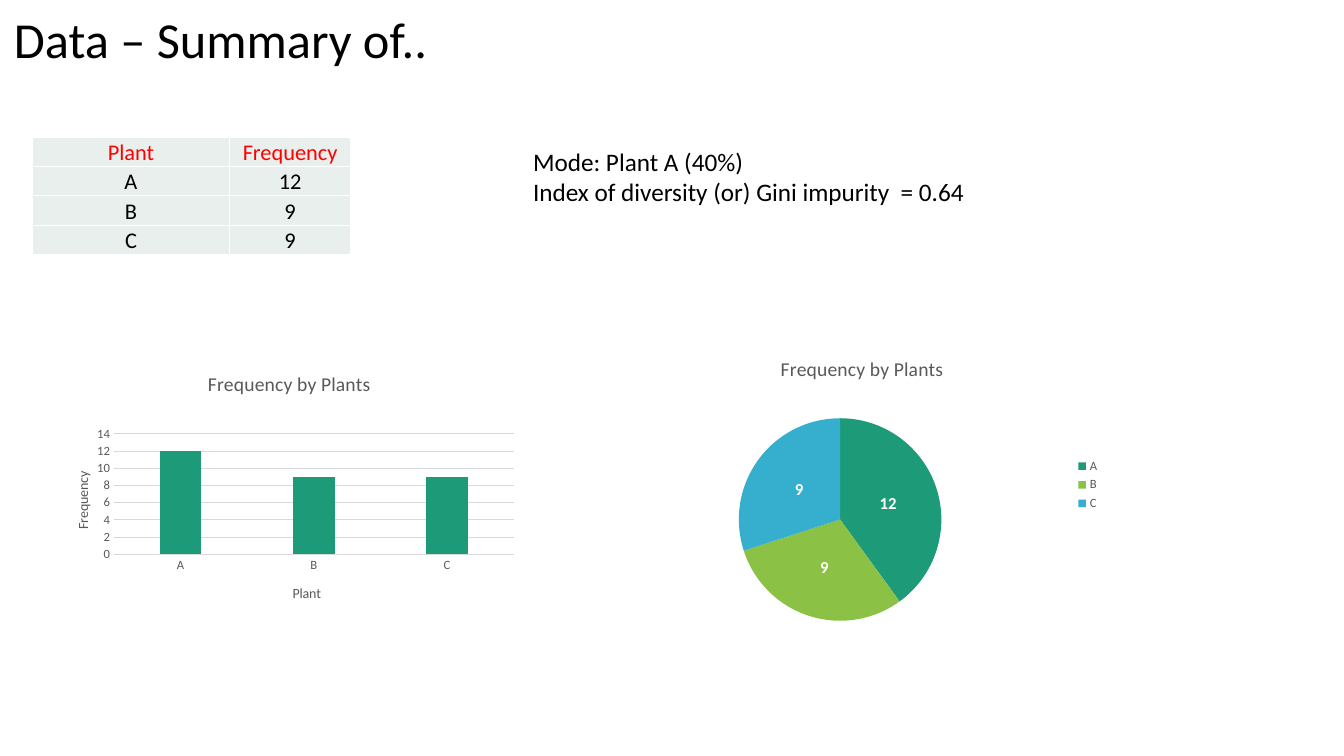
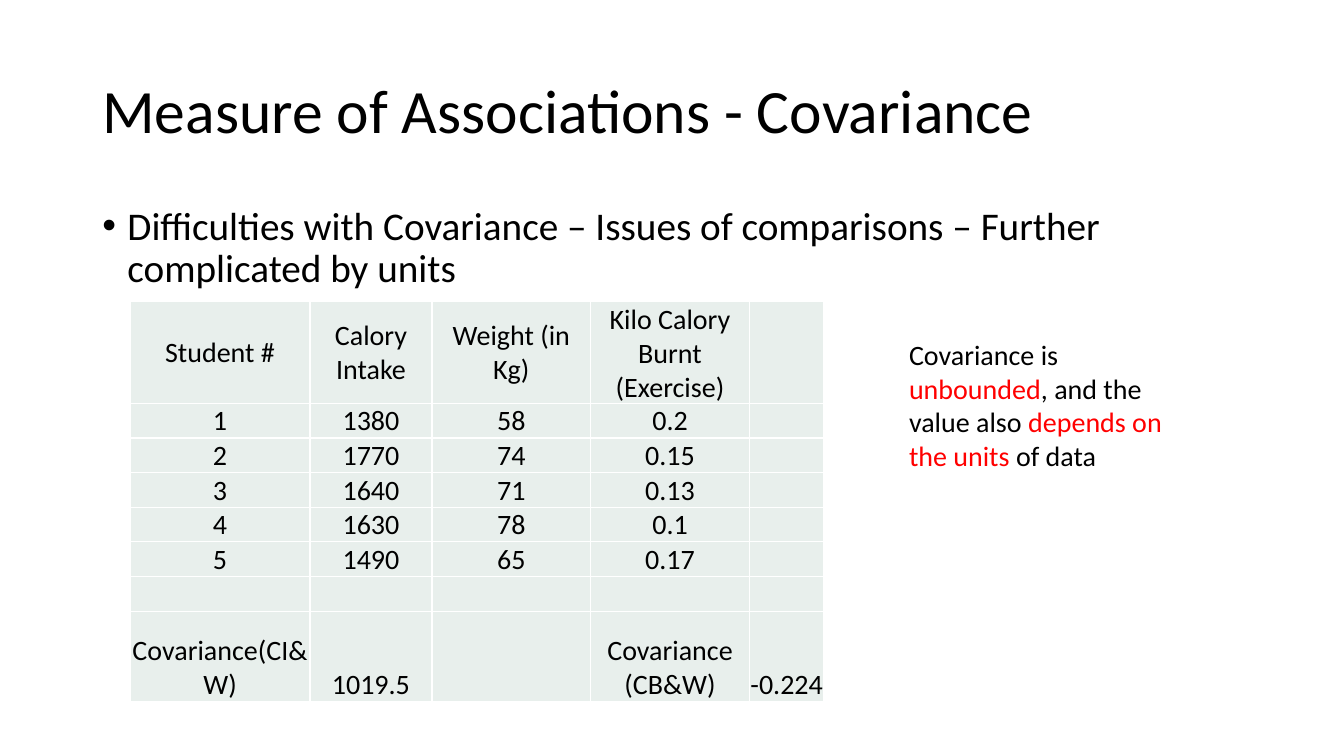
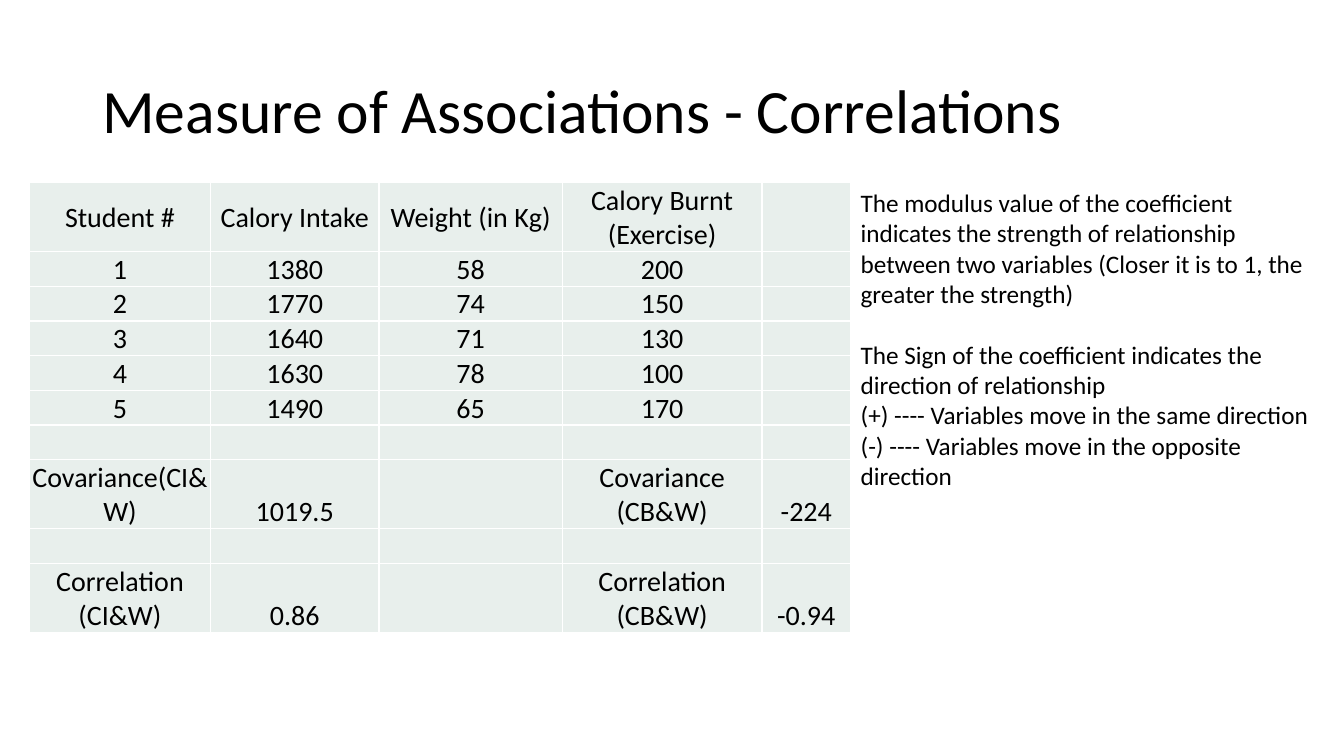
from dataclasses import dataclass
from lxml.etree import SubElement as sub
from pptx import Presentation
from pptx.chart.data import CategoryChartData as Data
from pptx.dml.color import RGBColor as RGB
from pptx.enum.chart import XL_CHART_TYPE as Kind
from pptx.enum.chart import XL_LABEL_POSITION as Spot
from pptx.enum.chart import XL_LEGEND_POSITION as Side
from pptx.enum.chart import XL_TICK_MARK as Tick
from pptx.enum.text import MSO_ANCHOR as Anchor
from pptx.enum.text import PP_ALIGN as Align
from pptx.oxml import parse_xml
from pptx.oxml.ns import nsdecls, qn
from pptx.util import Pt


@dataclass(frozen=True)
class Theme:
    """Colours and type sizes of the deck."""
    face: str = "Calibri"
    ink: str = "000000"
    red: str = "FF0000"
    gray: str = "595959"
    rule: str = "D9D9D9"
    white: str = "FFFFFF"
    cell: str = "E8EFEC"
    hues: tuple = ("1D9A78", "8BC145", "36AFCE")
    head: int = 44
    top: int = 36
    body: int = 28
    grid: int = 20
    note: int = 18
    small: int = 16
    chart: int = 14
    label: int = 12
    axis: int = 10
    tick: int = 9


T = Theme()
HEAD = (66, 28.8, 828, 104.4)
PLANTS = ("A", "B", "C")
COUNTS = (12, 9, 9)
STUDENTS = (("1", "1380", "58"), ("2", "1770", "74"), ("3", "1640", "71"),
            ("4", "1630", "78"), ("5", "1490", "65"))


def style(font, size, color=T.ink, bold=False):
    """Set face, size, colour and weight of a font."""
    font.name, font.size, font.bold = T.face, Pt(size), bold
    font.color.rgb = RGB.from_string(color)


def paint(part, color):
    """Give a part a solid fill."""
    part.fill.solid()
    part.fill.fore_color.rgb = RGB.from_string(color)


def text(slide, box, paras, size, mid=False, lead=None, gaps=(), dot=False):
    """Add a text box; a paragraph is a list of (words, colour) runs."""
    frame = slide.shapes.add_textbox(*map(Pt, box)).text_frame
    frame.word_wrap = True
    frame.vertical_anchor = Anchor.MIDDLE if mid else Anchor.TOP
    for i, runs in enumerate(paras):
        para = frame.add_paragraph() if i else frame.paragraphs[0]
        if dot:
            props = para._p.get_or_add_pPr()
            props.set("marL", str(Pt(18)))
            props.set("indent", str(Pt(-18)))
            sub(props, qn("a:buFont"), typeface="Arial")
            sub(props, qn("a:buChar"), char="•")
        if lead:
            para.line_spacing = lead
        if i < len(gaps):
            para.space_before = Pt(gaps[i])
        style(para.font, size)
        for words, color in runs:
            run = para.add_run()
            run.text = words
            if color != T.ink:
                run.font.color.rgb = RGB.from_string(color)


def plain(*lines):
    """Make one ink-coloured paragraph from each line."""
    return [[(line, T.ink)] for line in lines]


def title(slide, words, box=HEAD, size=T.head):
    """Add a slide title."""
    text(slide, box, plain(words), size, mid=True, lead=0.9)


def edge(cell):
    """Draw thin white borders round a cell."""
    props = cell._tc.get_or_add_tcPr()
    for side in ("lnL", "lnR", "lnT", "lnB"):
        line = sub(props, qn("a:" + side), w=str(Pt(1)))
        fill = sub(line, qn("a:solidFill"))
        sub(fill, qn("a:srgbClr"), val=T.white)


def table(slide, at, cols, highs, rows, size, low, top=T.ink):
    """Add a table whose rows from index low on sit at the bottom."""
    shape = slide.shapes.add_table(len(rows), len(cols), Pt(at[0]), Pt(at[1]),
                                   Pt(sum(cols)), Pt(sum(highs)))
    grid = shape.table
    grid.first_row = grid.horz_banding = False
    for col, wide in zip(grid.columns, cols):
        col.width = Pt(wide)
    for i, (row, high, words) in enumerate(zip(grid.rows, highs, rows)):
        row.height = Pt(high)
        for j, cell in enumerate(row.cells):
            cell.margin_left = cell.margin_right = cell.margin_top = Pt(0.72)
            cell.margin_bottom = Pt(0)
            cell.vertical_anchor = Anchor.BOTTOM if i >= low else Anchor.MIDDLE
            cell.text = words[j] if j < len(words) else ""
            para = cell.text_frame.paragraphs[0]
            para.alignment = Align.CENTER
            style(para.font, size, top if i == 0 else T.ink)
            edge(cell)
            paint(cell, T.cell)


def place(node, index, spots, inner=False):
    """Fix the place of a chart part, as shares of the chart."""
    for old in node.findall(qn("c:layout")):
        node.remove(old)
    layout = parse_xml(f"<c:layout {nsdecls('c')}/>")
    manual = sub(layout, qn("c:manualLayout"))
    if inner:
        sub(manual, qn("c:layoutTarget"), val="inner")
    for key in ("xMode", "yMode"):
        sub(manual, qn("c:" + key), val="edge")
    for key, share in zip("xywh", spots):
        sub(manual, qn("c:" + key), val=str(share))
    node.insert(index, layout)


def name(part, words, size, spots, turn=0):
    """Write and place a chart or axis title."""
    frame = part.text_frame
    frame.text = words
    style(frame.paragraphs[0].font, size, T.gray)
    frame._txBody.bodyPr.set("rot", str(turn * 60000))
    frame._txBody.bodyPr.set("vert", "horz")
    place(part._element, 1, spots)


def graph(slide, kind, box, head, area):
    """Add a chart of the plant counts."""
    data = Data()
    data.categories = PLANTS
    data.add_series("Series 1", COUNTS)
    chart = slide.shapes.add_chart(kind, *map(Pt, box), data).chart
    style(chart.font, T.axis)
    chart.has_legend = False
    chart.has_title = True
    name(chart.chart_title, "Frequency by Plants", T.chart, head)
    place(chart._chartSpace.chart.plotArea, 0, area, inner=True)
    return chart


def rule(line):
    """Make a chart line thin and light."""
    line.color.rgb = RGB.from_string(T.rule)
    line.width = Pt(0.75)


def bars(slide):
    """Add the column chart."""
    chart = graph(slide, Kind.COLUMN_CLUSTERED, (33.84, 250.56, 339.84, 191.52),
                  (0.33, 0.06), (0.14, 0.31, 0.84, 0.45))
    plot = chart.plots[0]
    plot.gap_width, plot.overlap, plot.vary_by_categories = 219, -27, False
    paint(plot.series[0].format, T.hues[0])
    cat, val = chart.category_axis, chart.value_axis
    for axis in (cat, val):
        axis.major_tick_mark = axis.minor_tick_mark = Tick.NONE
        style(axis.tick_labels.font, T.tick, T.gray)
    name(cat.axis_title, "Plant", T.axis, (0.51, 0.86))
    name(val.axis_title, "Frequency", T.axis, (0.05, 0.44), -90)
    rule(cat.format.line)
    val.format.line.fill.background()
    rule(val.major_gridlines.format.line)
    val.minimum_scale, val.maximum_scale, val.major_unit = 0, 14, 2


def pie(slide):
    """Add the pie chart."""
    chart = graph(slide, Kind.PIE, (432.72, 238.32, 360, 216),
                  (0.34, 0.06), (0.26, 0.28, 0.41, 0.67))
    chart.has_legend = True
    chart.legend.position = Side.RIGHT
    chart.legend.include_in_layout = False
    style(chart.legend.font, T.tick, T.gray)
    plot = chart.plots[0]
    plot.vary_by_categories = True
    for i, hue in enumerate(T.hues):
        paint(plot.series[0].points[i].format, hue)
    labels = plot.series[0].data_labels
    labels.show_value = True
    labels.position = Spot.CENTER
    style(labels.font, T.label, T.white, True)


def plants(slide):
    """Build the summary slide."""
    title(slide, "Data – Summary of..", (2.88, 0, 828, 60.48), T.top)
    rows = [("Plant", "Frequency")]
    rows += [(plant, str(count)) for plant, count in zip(PLANTS, COUNTS)]
    table(slide, (23.04, 97.92), (141, 86.4), [21] * 4, rows, T.small, 0, T.red)
    bars(slide)
    pie(slide)
    text(slide, (373.68, 100.8, 386.64, 51.12),
         plain("Mode: Plant A (40%)",
               "Index of diversity (or) Gini impurity  = 0.64"), T.note)


def study(burnt, values, cov):
    """Make the student rows, ending in the covariances."""
    rows = [("Student #", "Calory Intake", "Weight (in Kg)", burnt)]
    rows += [(*row, value) for row, value in zip(STUDENTS, values)]
    last = ("Covariance(CI&W)", "1019.5", "", "Covariance (CB&W)", cov)
    return rows + [(), last]


def spread(slide):
    """Build the covariance slide."""
    title(slide, "Measure of Associations - Covariance")
    text(slide, (66, 144, 828, 342.72),
         plain("Difficulties with Covariance – Issues of comparisons – "
               "Further complicated by units"),
         T.body, lead=0.9, gaps=(10,), dot=True)
    text(slide, (642.24, 237.6, 206.64, 104.4),
         [[("Covariance is ", T.ink), ("unbounded", T.red),
           (", and the value also ", T.ink), ("depends on the units", T.red),
           (" of data", T.ink)]], T.grid)
    rows = study("Kilo Calory Burnt (Exercise)",
                 ("0.2", "0.15", "0.13", "0.1", "0.17"), "-0.224")
    table(slide, (92.88, 215.28), (128.6, 87.1, 113.4, 113.4, 53.3),
          [72, *[24.5] * 6, 64.8], rows, T.grid, 7)


def links(slide):
    """Build the correlation slide."""
    title(slide, "Measure of Associations - Correlations")
    rows = study("Calory Burnt (Exercise)",
                 ("200", "150", "130", "100", "170"), "-224")
    rows += [(), ("Correlation (CI&W)", "0.86", "",
                  "Correlation (CB&W)", "-0.94")]
    table(slide, (20.88, 130.32), (129.6, 120.2, 131, 142.6, 63.4),
          [49.4, *[24.8] * 6, 49.4, 24.8, 49.4], rows, T.grid, 7)
    text(slide, (607.68, 130.32, 341.28, 269.28),
         plain("The modulus value of the coefficient indicates the strength of "
               "relationship between two variables (Closer it is to 1, the "
               "greater the strength)",
               "The Sign of the coefficient indicates the direction of "
               "relationship",
               "(+) ---- Variables move in the same direction",
               "(-) ---- Variables move in the opposite direction"),
         T.note, gaps=(0, 22))


def main():
    """Build and save the deck."""
    deck = Presentation()
    deck.slide_width, deck.slide_height = Pt(960), Pt(540)
    for build in (plants, spread, links):
        build(deck.slides.add_slide(deck.slide_layouts[6]))
    deck.save("out.pptx")


if __name__ == "__main__":
    main()
